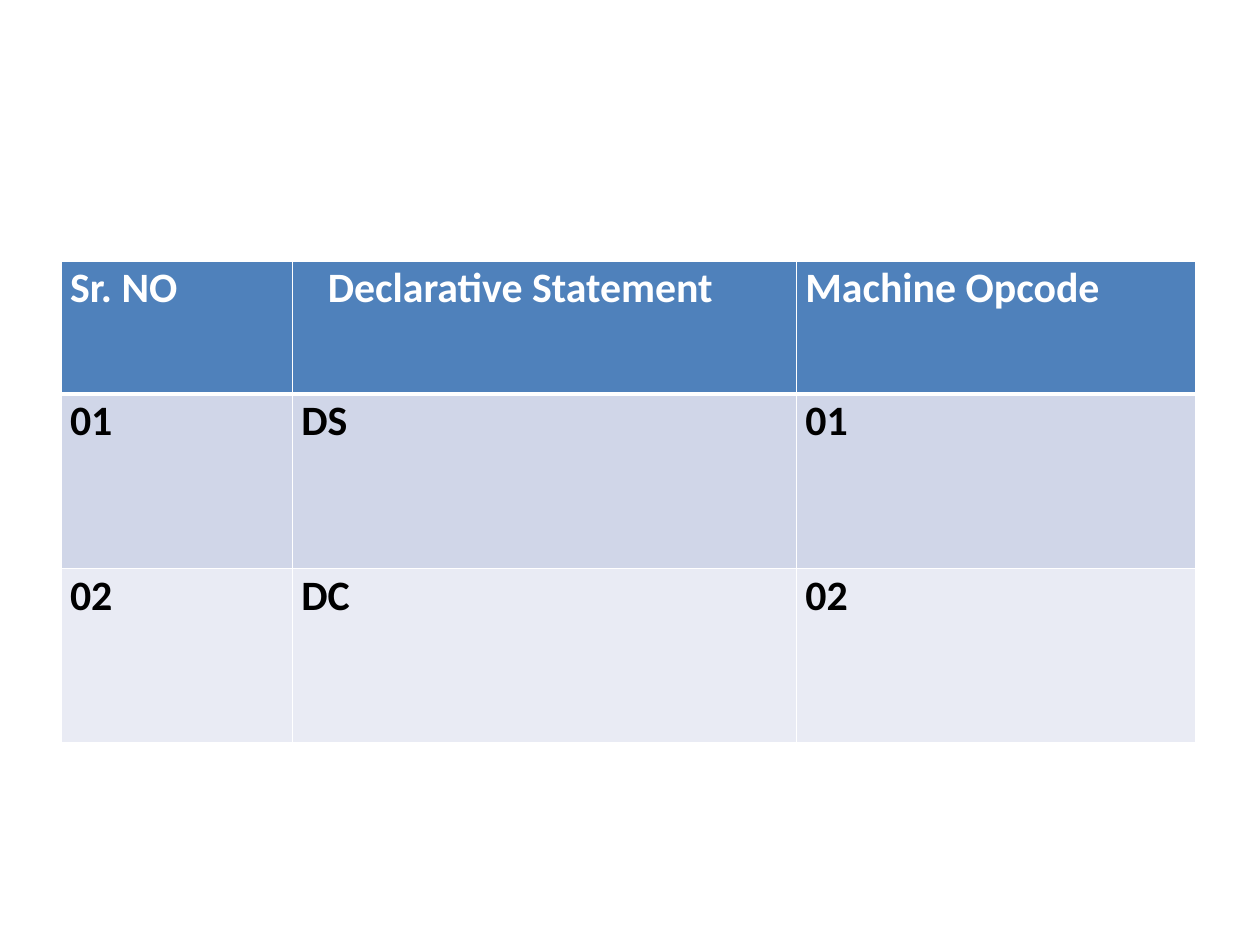
from lxml.etree import SubElement
from pptx import Presentation
from pptx.dml.color import RGBColor
from pptx.oxml.ns import qn
from pptx.util import Inches, Pt

WHITE = RGBColor(0xFF, 0xFF, 0xFF)
BLACK = RGBColor(0x00, 0x00, 0x00)
HEADER_BLUE = RGBColor(0x4F, 0x81, 0xBB)
BAND_DARK = RGBColor(0xD0, 0xD6, 0xE8)
BAND_LIGHT = RGBColor(0xE9, 0xEB, 0xF4)

OPCODES = [
    ["Sr. NO", "Declarative Statement", "Machine Opcode"],
    ["01", "DS", "01"],
    ["02", "DC", "02"],
]


class SlideBuilder:
    """Hold the style and current slide, measured on a grid of tenths of an inch."""

    font_name = "Calibri"
    font_size = Pt(34)
    unit = Inches(0.1)
    row_fills = [HEADER_BLUE, BAND_DARK, BAND_LIGHT]

    def __init__(self, presentation):
        """Add a blank slide."""
        self.slide = presentation.slides.add_slide(presentation.slide_layouts[6])

    def grid(self, count):
        """Convert grid units to a length."""
        return round(count * self.unit)

    def table(self, left, top, column_widths, row_heights, rows):
        """Add a table with a header row and shaded body rows."""
        frame = self.slide.shapes.add_table(
            len(rows), len(column_widths), self.grid(left), self.grid(top),
            self.grid(sum(column_widths)), self.grid(sum(row_heights)))
        table = frame.table
        for column, width in zip(table.columns, column_widths):
            column.width = self.grid(width)
        for row, height in zip(table.rows, row_heights):
            row.height = self.grid(height)
        for row_index, texts in enumerate(rows):
            for column_index, text in enumerate(texts):
                self.cell(table.cell(row_index, column_index), text, row_index)
        table.cell(0, 1).margin_left = self.grid(4)

    def cell(self, cell, text, row_index):
        """Write and format one table cell."""
        cell.margin_left = self.grid(1)
        cell.margin_right = cell.margin_bottom = 0
        cell.margin_top = self.grid(0.2)
        self.border(cell, "L", 1)
        self.border(cell, "R", 1)
        self.border(cell, "T", 3 if row_index == 1 else 1)
        self.border(cell, "B", 3 if row_index == 0 else 1)
        cell.fill.solid()
        cell.fill.fore_color.rgb = self.row_fills[row_index]
        cell.text = text
        font = cell.text_frame.paragraphs[0].font
        font.name = self.font_name
        font.size = self.font_size
        font.bold = True
        font.color.rgb = WHITE if row_index == 0 else BLACK

    def border(self, cell, side, points):
        """Draw a white border on one side of a cell."""
        properties = cell._tc.get_or_add_tcPr()
        line = SubElement(properties, qn(f"a:ln{side}"), w=str(Pt(points)))
        fill = SubElement(line, qn("a:solidFill"))
        SubElement(fill, qn("a:srgbClr"), val=str(WHITE))


def main():
    """Build and save the opcode slide."""
    presentation = Presentation()
    presentation.slide_width = Inches(14.22)
    presentation.slide_height = Inches(10.67)
    builder = SlideBuilder(presentation)
    builder.table(6.9, 29.5, [26.1, 56.9, 45], [15, 19.7, 19.7], OPCODES)
    presentation.save("out.pptx")


if __name__ == "__main__":
    main()
